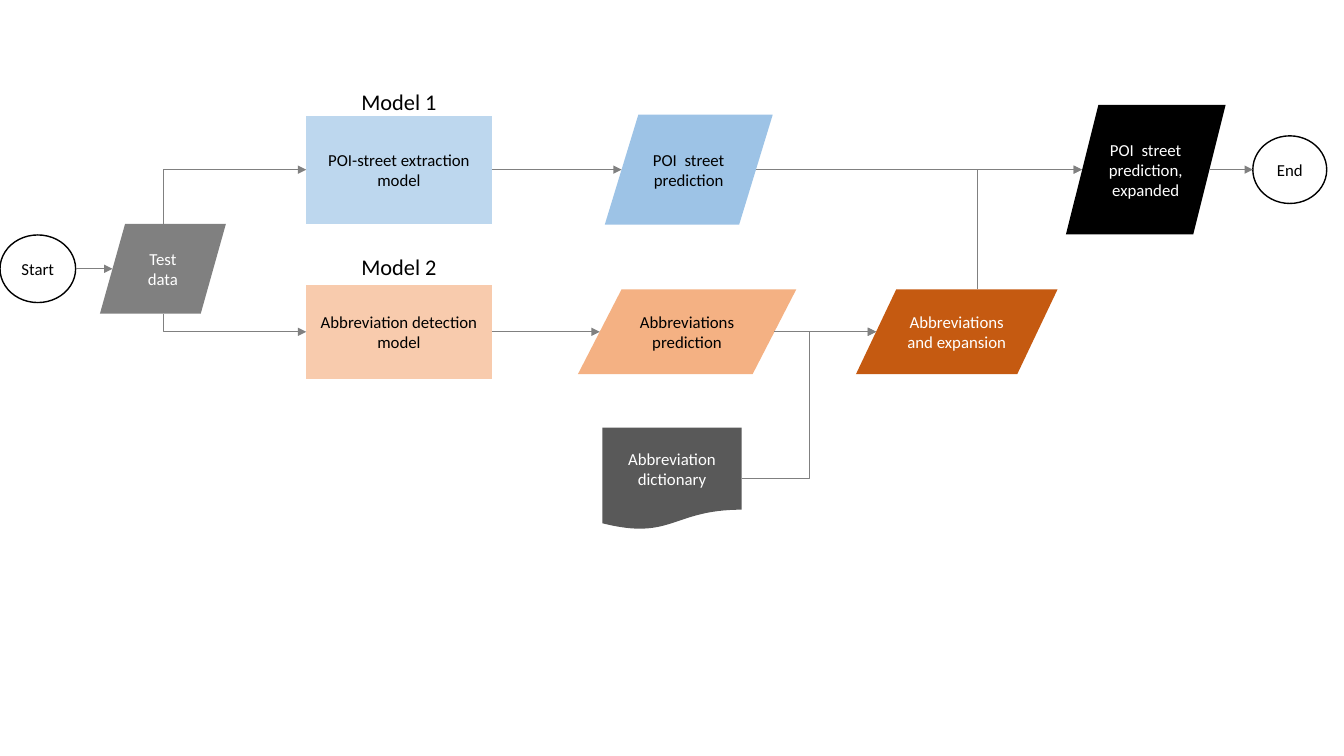
import pptx
import pptx.util
import pptx.dml.color
import pptx.enum.shapes
import pptx.enum.text
import pptx.oxml.ns
import lxml.etree

RGB = pptx.dml.color.RGBColor
BLACK, WHITE = RGB(0, 0, 0), RGB(255, 255, 255)
GREY, DARK_GREY = RGB(0x80, 0x80, 0x80), RGB(0x59, 0x59, 0x59)
PALE_BLUE, BLUE = RGB(0xBD, 0xD7, 0xEE), RGB(0x9D, 0xC3, 0xE6)
PALE_ORANGE, ORANGE = RGB(0xF8, 0xCB, 0xAD), RGB(0xF4, 0xB1, 0x83)
RUST = RGB(0xC5, 0x5A, 0x11)

SHAPE = pptx.enum.shapes.MSO_SHAPE
LINK = pptx.enum.shapes.MSO_CONNECTOR
COLUMNS, ROWS = 160, 90
SLANT_INSET = 0.1  # share of width between the box and a slanted side's middle


class Node:
    """Centre and connection points of a flowchart step, in grid units."""

    def __init__(self, x, y, width, height, inset=0):
        self.left = (x - width / 2 + inset * width, y)
        self.right = (x + width / 2 - inset * width, y)
        self.top = (x, y - height / 2)
        self.bottom = (x, y + height / 2)
        self.upper_site = (x + inset * width, y - height / 2)


class Flowchart:
    font_name = "Calibri"
    step_size, label_size = 12, 16

    def __init__(self, deck):
        self.slide = deck.slides.add_slide(deck.slide_layouts[6])
        self.column = deck.slide_width / COLUMNS
        self.row = deck.slide_height / ROWS

    def box(self, x, y, width, height):
        return (round((x - width / 2) * self.column), round((y - height / 2) * self.row),
                round(width * self.column), round(height * self.row))

    def set_text(self, shape, text, size, colour):
        shape.text_frame.word_wrap = True
        shape.text_frame.text = text
        paragraph = shape.text_frame.paragraphs[0]
        paragraph.alignment = pptx.enum.text.PP_ALIGN.CENTER
        paragraph.font.name = self.font_name
        paragraph.font.size = pptx.util.Pt(size)
        paragraph.font.color.rgb = colour

    def step(self, kind, text, x, y, width, height, fill, colour=BLACK, outline=None):
        shape = self.slide.shapes.add_shape(kind, *self.box(x, y, width, height))
        shape.shadow.inherit = False
        shape.fill.solid()
        shape.fill.fore_color.rgb = fill
        if outline is None:
            shape.line.fill.background()
        else:
            shape.line.color.rgb = outline
            shape.line.width = pptx.util.Pt(1)
        shape.text_frame.vertical_anchor = pptx.enum.text.MSO_ANCHOR.MIDDLE
        self.set_text(shape, text, self.step_size, colour)
        slanted = kind in (SHAPE.FLOWCHART_DATA, SHAPE.PARALLELOGRAM)
        return Node(x, y, width, height, SLANT_INSET if slanted else 0)

    def terminal(self, text, x, y, width):
        return self.step(SHAPE.OVAL, text, x, y, width, 8.05, WHITE, outline=BLACK)

    def label(self, text, x, y):
        box = self.slide.shapes.add_textbox(*self.box(x, y, 14, 4.4))
        self.set_text(box, text, self.label_size, BLACK)

    def arrow(self, start, end, kind=LINK.STRAIGHT):
        (x1, y1), (x2, y2) = start, end
        link = self.slide.shapes.add_connector(
            kind, round(x1 * self.column), round(y1 * self.row),
            round(x2 * self.column), round(y2 * self.row))
        link.line.color.rgb = GREY
        link.line.width = pptx.util.Pt(0.5)
        qn = pptx.oxml.ns.qn
        properties = link._element.spPr
        lxml.etree.SubElement(properties.find(qn("a:ln")), qn("a:tailEnd"), type="triangle")
        lxml.etree.SubElement(properties, qn("a:effectLst"))
        return link

    def corner(self, start, end):
        """Arrow that leaves vertically and arrives from the left, with one bend."""
        (x1, y1), (x2, y2) = start, end
        x, y = (x1 + x2) / 2, (y1 + y2) / 2
        half_run, half_rise = (x2 - x1) / 2, abs(y2 - y1) / 2
        down = 1 if y2 > y1 else -1
        # The one-bend connector runs sideways first, so it is laid out a quarter turn away
        link = self.arrow((x + half_rise, y - down * half_run),
                          (x - half_rise, y + down * half_run), LINK.ELBOW)
        properties = link._element.spPr
        properties.find(pptx.oxml.ns.qn("a:prstGeom")).set("prst", "bentConnector2")
        properties.find(pptx.oxml.ns.qn("a:xfrm")).set("rot", str((180 + 90 * down) * 60000))


deck = pptx.Presentation()
deck.slide_width, deck.slide_height = pptx.util.Inches(13.33), pptx.util.Inches(7.5)
chart = Flowchart(deck)

# Lanes and the column shared by both models
STREET_LANE, INPUT_LANE, ABBREVIATION_LANE = 20.2, 32, 39.5
MODEL_X, MODEL_WIDTH = 47.5, 22.1

# Input
start = chart.terminal("Start", 4.5, INPUT_LANE, 9)
test_data = chart.step(SHAPE.FLOWCHART_DATA, "Test data", 19.4, INPUT_LANE, 15, 10.7, GREY, WHITE)

# Street lane
chart.label("Model 1", MODEL_X, 12.1)
extraction = chart.step(SHAPE.FLOWCHART_PROCESS, "POI-street extraction model",
                        MODEL_X, STREET_LANE, MODEL_WIDTH, 12.85, PALE_BLUE)
street = chart.step(SHAPE.FLOWCHART_DATA, "POI  street prediction",
                    82, STREET_LANE, 20, 13.1, BLUE)
expanded = chart.step(SHAPE.PARALLELOGRAM, "POI  street prediction, expanded",
                      136.4, STREET_LANE, 19, 15.4, BLACK, WHITE)
end = chart.terminal("End", 153.55, STREET_LANE, 8.8)

# Abbreviation lane
chart.label("Model 2", MODEL_X, 31.8)
detection = chart.step(SHAPE.FLOWCHART_PROCESS, "Abbreviation detection model",
                       MODEL_X, ABBREVIATION_LANE, MODEL_WIDTH, 11.15, PALE_ORANGE)
abbreviations = chart.step(SHAPE.FLOWCHART_DATA, "Abbreviations prediction",
                           81.8, ABBREVIATION_LANE, 26, 10.1, ORANGE)
expansion = chart.step(SHAPE.FLOWCHART_DATA, "Abbreviations and expansion",
                       113.9, ABBREVIATION_LANE, 24, 10.1, RUST, WHITE)
dictionary = chart.step(SHAPE.FLOWCHART_DOCUMENT, "Abbreviation dictionary",
                        80, 57, 16.6, 12.2, DARK_GREY, WHITE)

# Flow along the lanes
for source, target in [(start, test_data), (extraction, street), (street, expanded),
                       (expanded, end), (detection, abbreviations), (abbreviations, expansion)]:
    chart.arrow(source.right, target.left)

# Flow between the lanes
chart.corner(test_data.top, extraction.left)
chart.corner(test_data.bottom, detection.left)
chart.corner(expansion.upper_site, expanded.left)
chart.arrow(dictionary.right, expansion.left, LINK.ELBOW)

deck.save("out.pptx")
